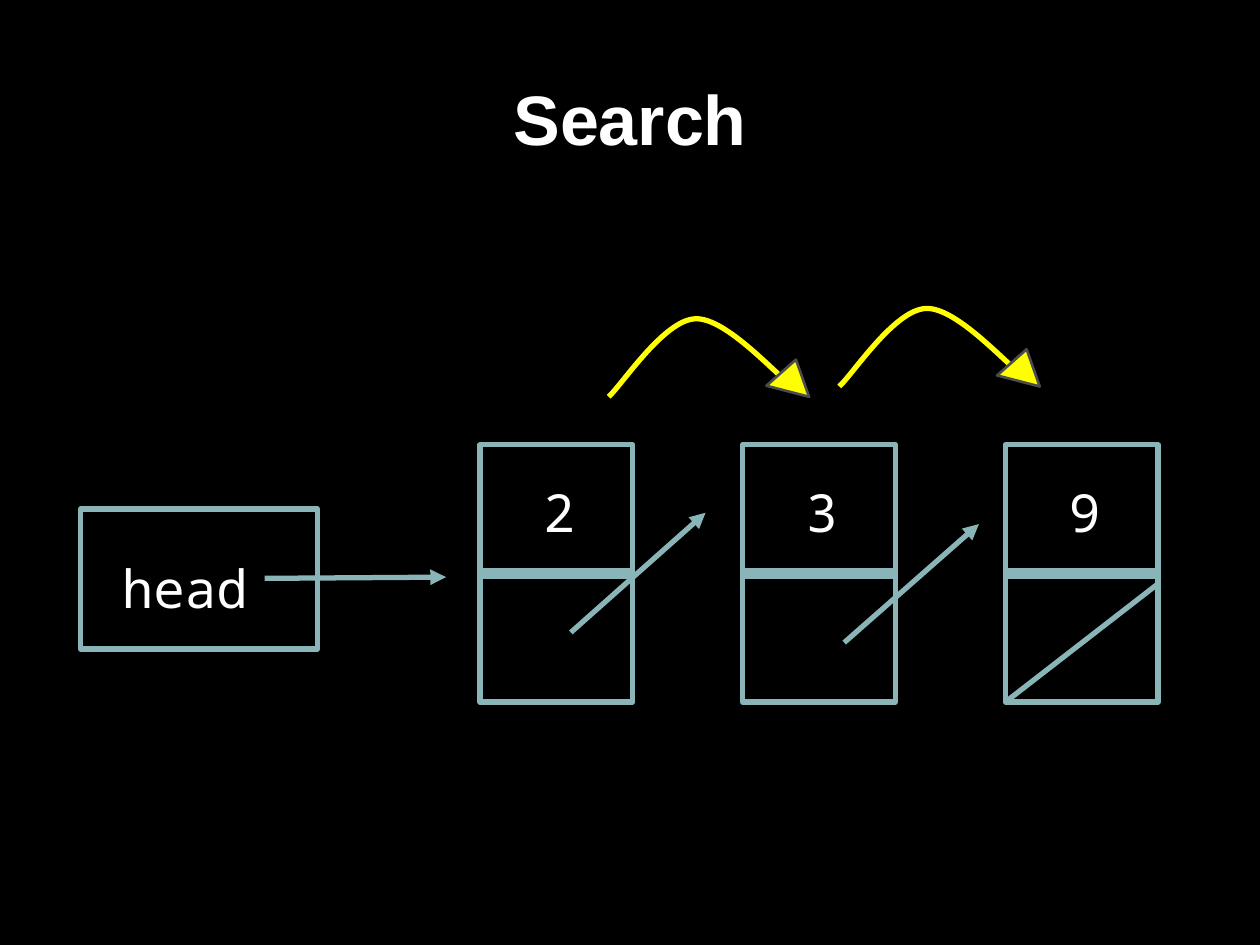
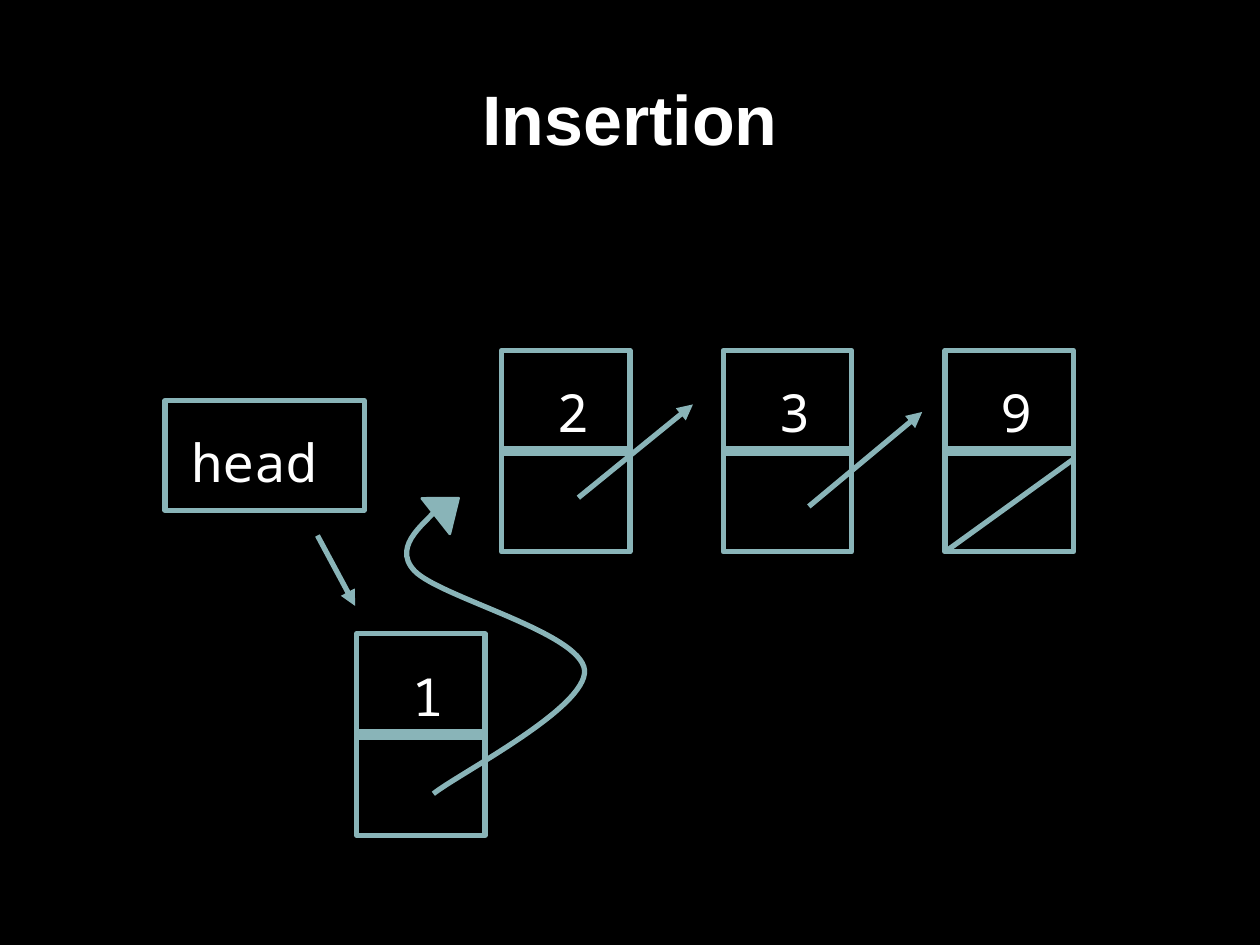
"""Builds two slides on searching and inserting in a linked list."""
from lxml import etree
from pptx import Presentation
from pptx.dml.color import RGBColor
from pptx.enum.shapes import MSO_CONNECTOR, MSO_SHAPE
from pptx.enum.text import MSO_ANCHOR, PP_ALIGN
from pptx.oxml.ns import qn
from pptx.util import Pt

STRAIGHT = MSO_CONNECTOR.STRAIGHT
RECT = MSO_SHAPE.RECTANGLE
WEDGE = MSO_SHAPE.ISOSCELES_TRIANGLE
MIDDLE = MSO_ANCHOR.MIDDLE
CENTER = PP_ALIGN.CENTER
BLACK = RGBColor(0x00, 0x00, 0x00)
WHITE = RGBColor(0xFF, 0xFF, 0xFF)
TEAL = RGBColor(0x89, 0xB4, 0xB8)
YELLOW = RGBColor(0xFF, 0xFF, 0x00)
GRAY = RGBColor(0x4C, 0x4C, 0x4C)

TITLE = {"name": "Arial", "size": Pt(40), "bold": True}
LABEL = {"name": "Noto Sans Mono", "size": Pt(30), "bold": False}
INSET = {"margin_left": Pt(7.2), "margin_right": Pt(7.2),
         "margin_top": Pt(7.2), "margin_bottom": Pt(7.2)}

HOP = [(347.8, 226.8), (355.7, 219.6), (379.4, 182.9), (397.4, 182.2),
       (415.4, 181.4), (445, 216), (455, 222.5)]
LOOP = [(247.7, 453.6), (262.1, 442.1), (335.5, 404.6), (334.1, 383),
        (331.9, 361.4), (251.3, 341.3), (236.9, 326.2),
        (222.5, 311), (247, 296.6), (249.1, 290.9)]

SLIDES = [
    {"title": "Search", "size": (87.3, 147), "tag": (29.2, 13, 41, 41),
     "nodes": [("2", 274.3, 254.2), ("3", 424.4, 254.2), ("9", 574.5, 254.2)],
     "links": [(326.2, 361.4, 403.2, 293), (482.4, 367.2, 559.4, 299.5),
               (151.2, 330.5, 254.9, 329.8)],
     "head": (46, 290.9, 135.4, 80), "name": (62.6, 310.3, 94.3, 41),
     "curves": [(HOP, 0, 0), (HOP, 131.8, -5.9)],
     "wedge": (439.9, 205.2, 25.2, 18.7, 14.5),
     "ink": YELLOW, "edge": GRAY},
    {"title": "Insertion", "size": (73.4, 115.2), "tag": (24.5, 10, 34.6, 32.4),
     "nodes": [("2", 286.6, 200.2), ("3", 413.3, 200.2), ("9", 540, 200.2),
               ("1", 203.8, 362.2)],
     "links": [(330.5, 284.4, 396, 231.1), (462.2, 289.4, 527, 235.4),
               (181.4, 306, 203, 346.3)],
     "head": (94.3, 229, 113.8, 62.6), "name": (102.2, 238.3, 98.6, 32.4),
     "curves": [(LOOP, 0, 0)],
     "wedge": (242.6, 281.5, 25.9, 16.6, 51.7),
     "ink": TEAL, "edge": TEAL},
]


def box(slide, kind, place, ink, width, fill=None):
    shape = slide.shapes.add_shape(kind, *map(Pt, place))
    shape.shadow.inherit = False
    if fill is None:
        shape.fill.background()
    else:
        shape.fill.solid()
        shape.fill.fore_color.rgb = fill
    shape.line.color.rgb = ink
    shape.line.width = Pt(width)
    return shape


def line(slide, ends, width, arrow=False):
    link = slide.shapes.add_connector(STRAIGHT, *map(Pt, ends))
    link.line.color.rgb = TEAL
    link.line.width = Pt(width)
    if arrow:
        tail = etree.SubElement(link.line._get_or_add_ln(), qn("a:tailEnd"))
        tail.set("type", "triangle")
    etree.SubElement(link._element.spPr, qn("a:effectLst"))
    return link


deck = Presentation()
deck.slide_width = Pt(720)
deck.slide_height = Pt(540)

for plan in SLIDES:
    slide = deck.slides.add_slide(deck.slide_layouts[6])
    slide.background.fill.solid()
    slide.background.fill.fore_color.rgb = BLACK

    wide, high = plan["size"]
    dx, dy, tw, th = plan["tag"]
    texts = [(plan["title"], (47.5, 20.2, 625, 100), TITLE),
             ("head", plan["name"], LABEL)]

    for value, x, y in plan["nodes"]:
        node = box(slide, RECT, (x, y, wide, high), TEAL, 3)
        mid = y + high / 2
        split = line(slide, (x, mid, x + wide, mid), 6)
        split.begin_connect(node, 1)
        split.end_connect(node, 3)
        if value == "9":
            line(slide, (x + wide, y + high * 0.54, x, y + high), 3)
        texts.append((value, (x + dx, y + dy, tw, th), LABEL))

    box(slide, RECT, plan["head"], TEAL, 3)
    for ends in plan["links"]:
        line(slide, ends, 3, True)

    for points, right, down in plan["curves"]:
        spots = [(Pt(x + right), Pt(y + down)) for x, y in points]
        pen = slide.shapes.build_freeform(*spots[0])
        pen.add_line_segments(spots[1:], close=False)
        curve = pen.convert_to_shape()
        curve.shadow.inherit = False
        curve.fill.background()
        curve.line.color.rgb = plan["ink"]
        curve.line.width = Pt(3)
        steps = list(curve._element.iter(qn("a:lnTo")))
        route = steps[0].getparent()
        for i in range(0, len(steps), 3):
            bend = etree.SubElement(route, qn("a:cubicBezTo"))
            for step in steps[i:i + 3]:
                bend.append(step[0])
                route.remove(step)
        x, y, w, h, turn = plan["wedge"]
        tip = box(slide, WEDGE, (x + right, y + down, w, h),
                  plan["edge"], 1.5, plan["ink"])
        tip.rotation = turn

    for words, place, style in texts:
        frame = slide.shapes.add_textbox(*map(Pt, place)).text_frame
        frame.word_wrap = True
        for key, value in INSET.items():
            setattr(frame, key, value)
        para = frame.paragraphs[0]
        para.text = words
        for key, value in style.items():
            setattr(para.runs[0].font, key, value)
        para.runs[0].font.color.rgb = WHITE
        if style is TITLE:
            frame.vertical_anchor = MIDDLE
            frame.margin_bottom = Pt(20)
            para.alignment = CENTER
            para.line_spacing = 1.15

deck.save("out.pptx")
